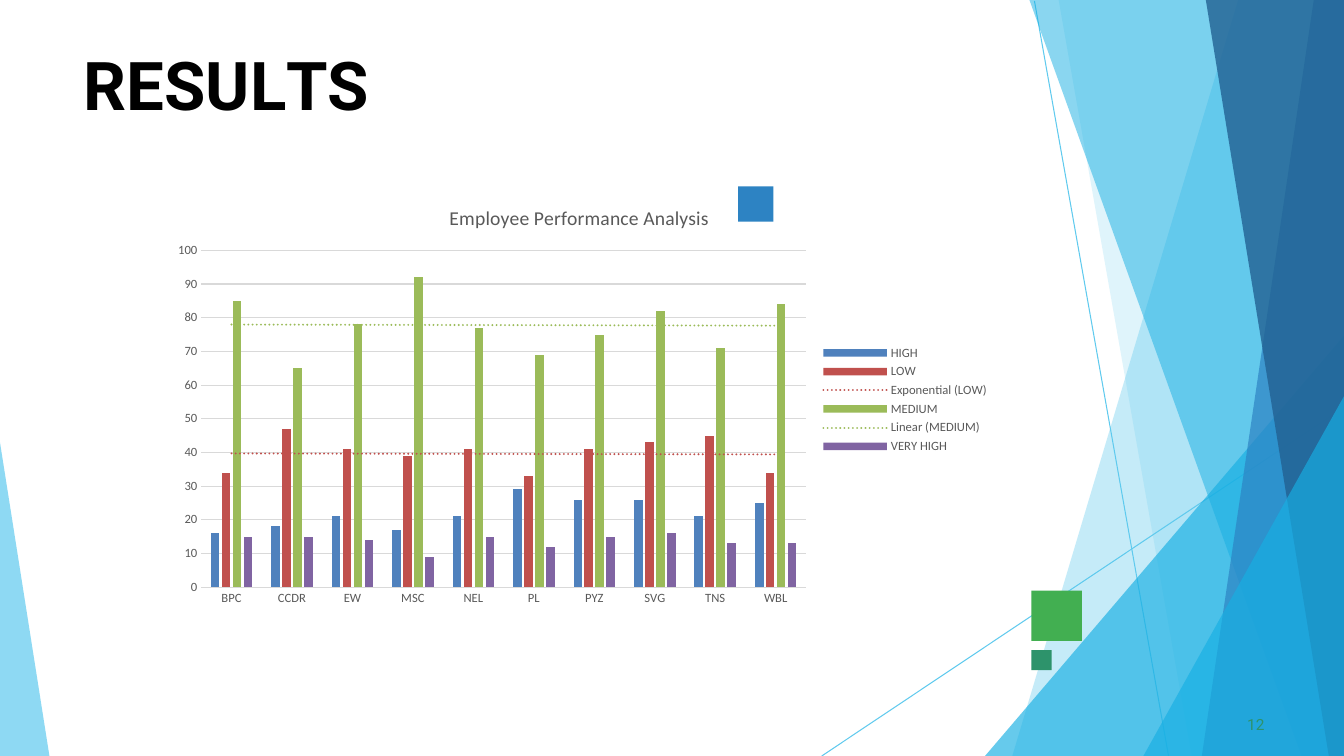
from dataclasses import dataclass

from lxml.etree import SubElement
from pptx import Presentation
from pptx.chart.data import CategoryChartData
from pptx.dml.color import RGBColor
from pptx.enum.chart import XL_CHART_TYPE as ChartType, XL_LEGEND_POSITION as LegendPos, XL_TICK_MARK as Tick
from pptx.enum.shapes import MSO_CONNECTOR as Connector, MSO_SHAPE as Shape
from pptx.enum.text import MSO_ANCHOR as Anchor, PP_ALIGN as Align
from pptx.oxml import parse_xml
from pptx.oxml.ns import nsdecls, qn
from pptx.util import Inches, Pt


@dataclass(frozen=True)
class Theme:
    sky: str = "5FCAEE"
    cyan: str = "17AFE3"
    blue: str = "2D83C3"
    navy: str = "226192"
    green: str = "42AF51"
    teal: str = "2D936B"
    black: str = "000000"
    grey: str = "595959"
    rule: str = "D9D9D9"
    series: tuple = ("4F81BD", "C0504D", "9BBB59", "8064A2")
    head_font: str = "Roboto"
    chart_font: str = "Calibri"
    title_size: int = 48
    number_size: int = 11
    chart_title_size: int = 14
    label_size: int = 9


T = Theme()
WIDTH, HEIGHT = 13.33, 7.5

CATEGORIES = ["BPC", "CCDR", "EW", "MSC", "NEL", "PL", "PYZ", "SVG", "TNS", "WBL"]
RATINGS = {
    "HIGH": [16, 18, 21, 17, 21, 29, 26, 26, 21, 25],
    "LOW": [34, 47, 41, 39, 41, 33, 41, 43, 45, 34],
    "MEDIUM": [85, 65, 78, 92, 77, 69, 75, 82, 71, 84],
    "VERY HIGH": [15, 15, 14, 9, 15, 12, 15, 16, 13, 13],
}
TRENDS = {"LOW": "exp", "MEDIUM": "linear"}


def rgb(color):
    return RGBColor.from_string(color)


def set_font(font, name, size, color, bold=False):
    font.name, font.size, font.bold = name, Pt(size), bold
    font.color.rgb = rgb(color)


def paint(shape, color, opacity=100):
    """Fill a shape with one colour, without line or shadow."""
    shape.shadow.inherit = False
    shape.line.fill.background()
    shape.fill.solid()
    shape.fill.fore_color.rgb = rgb(color)
    if opacity < 100:
        srgb = shape._element.spPr.find(".//" + qn("a:srgbClr"))
        SubElement(srgb, qn("a:alpha"), val=str(opacity * 1000))


def add_facet(s, points, color, opacity):
    start, *rest = [(Inches(x), Inches(y)) for x, y in points]
    builder = s.shapes.build_freeform(*start)
    builder.add_line_segments(rest, close=True)
    paint(builder.convert_to_shape(), color, opacity)


def add_facets(s, right, bottom):
    """Draw the crossing lines and translucent facets along the slide edges."""
    for x1, y1, x2, y2 in [(10.26, 0.01, 11.59, bottom), (right, 4.04, 8.15, bottom)]:
        line = s.shapes.add_connector(Connector.STRAIGHT, *map(Inches, (x1, y1, x2, y2)))
        line.line.color.rgb = rgb(T.sky)
        line.line.width = Pt(0.75)
        SubElement(line._element.spPr, qn("a:effectLst"))

    def band(top_x, bottom_x):
        return [(right, 0), (top_x, 0), (bottom_x, bottom), (right, bottom)]

    def corner(top_y, bottom_x):
        return [(right, top_y), (bottom_x, bottom), (right, bottom)]

    for points, color, opacity in [
        (band(12.28, 10.04), T.sky, 36),
        (band(10.5, 11.82), T.sky, 20),
        (corner(3.33, 9.77), T.cyan, 66),
        (band(10.21, 12.91), T.cyan, 50),
        (band(13.03, 11.92), T.blue, 70),
        (band(11.96, 13.18), T.navy, 80),
        (corner(3.93, 11.34), T.cyan, 66),
        ([(0, 4.39), (0, bottom), (0.49, bottom)], T.sky, 70),
    ]:
        add_facet(s, points, color, opacity)


def add_squares(s):
    for x, y, side, color in [(10.23, 5.86, 0.5, T.green), (7.32, 1.85, 0.35, T.blue),
                              (10.23, 6.45, 0.2, T.teal)]:
        paint(s.shapes.add_shape(Shape.RECTANGLE, *map(Inches, (x, y, side, side))), color)


def prepare_text(shape):
    tf = shape.text_frame
    tf.margin_left = tf.margin_right = tf.margin_bottom = 0
    tf.margin_top = Inches(0.01)
    tf.vertical_anchor = Anchor.TOP
    tf.word_wrap = True
    return tf.paragraphs[0]


def add_title(s, x, y, w, h):
    title = s.shapes.title
    title.left, title.top, title.width, title.height = map(Inches, (x, y, w, h))
    p = prepare_text(title)
    p.alignment = Align.LEFT
    set_font(p.font, T.head_font, T.title_size, T.black, bold=True)
    for text, spacing in [("R", 0), ("E", -40), ("S", 10), ("U", -30), ("L", -400), ("TS", 0)]:
        r = p.add_run()
        r.text = text
        r._r.get_or_add_rPr().set("spc", str(spacing))


def add_page_number(s, x, y, w, h):
    p = prepare_text(s.shapes.add_textbox(*map(Inches, (x, y, w, h))))
    p.text = "12"
    p._p.get_or_add_pPr().set("marL", str(Inches(0.04)))
    set_font(p.font, T.head_font, T.number_size, T.teal)


def layout_xml(x, y, w=None, h=None):
    """Manual chart layout in fractions of the chart; with a size it is a plot's."""
    fields = [("xMode", "edge"), ("yMode", "edge"), ("x", x), ("y", y)]
    if w:
        fields = [("layoutTarget", "inner"), *fields, ("w", w), ("h", h)]
    body = "".join(f'<c:{tag} val="{value}"/>' for tag, value in fields)
    return parse_xml(f'<c:layout {nsdecls("c")}><c:manualLayout>{body}</c:manualLayout></c:layout>')


def add_trend(series, kind, color):
    trend = parse_xml(
        f'<c:trendline {nsdecls("c", "a")}><c:spPr><a:ln w="{Pt(1.5)}" cap="rnd"><a:solidFill>'
        f'<a:srgbClr val="{color}"/></a:solidFill><a:prstDash val="sysDot"/></a:ln></c:spPr>'
        f'<c:trendlineType val="{kind}"/><c:dispRSqr val="0"/><c:dispEq val="0"/></c:trendline>')
    series._element.find(qn("c:cat")).addprevious(trend)


def format_axis(axis):
    axis.major_tick_mark = axis.minor_tick_mark = Tick.NONE
    set_font(axis.tick_labels.font, T.chart_font, T.label_size, T.grey)


def format_rule(line):
    line.color.rgb = rgb(T.rule)
    line.width = Pt(0.75)


def add_performance_chart(s, x, y, w, h):
    data = CategoryChartData()
    data.categories = CATEGORIES
    for name, values in RATINGS.items():
        data.add_series(name, values)
    frame = s.shapes.add_chart(ChartType.COLUMN_CLUSTERED, *map(Inches, (x, y, w, h)), data)
    chart = frame.chart
    set_font(chart.font, T.chart_font, 10, T.black)

    p = chart.chart_title.text_frame.paragraphs[0]
    p.text = "Employee Performance Analysis"
    set_font(p.font, T.chart_font, T.chart_title_size, T.grey)
    chart.chart_title.include_in_layout = False
    chart.chart_title._element.find(qn("c:tx")).addnext(layout_xml(0.345, 0.04))

    plot = chart.plots[0]
    plot.gap_width, plot.overlap, plot.vary_by_categories = 219, -27, False
    area = chart._chartSpace.chart.plotArea
    for old in area.findall(qn("c:layout")):
        area.remove(old)
    area.insert(0, layout_xml(0.05, 0.15, 0.72, 0.79))
    for series, color in zip(plot.series, T.series):
        series.format.fill.solid()
        series.format.fill.fore_color.rgb = rgb(color)
        if series.name in TRENDS:
            add_trend(series, TRENDS[series.name], color)

    format_axis(chart.category_axis)
    format_rule(chart.category_axis.format.line)
    values = chart.value_axis
    format_axis(values)
    values.minimum_scale, values.maximum_scale, values.major_unit = 0, 100, 10
    values.format.line.fill.background()
    format_rule(values.major_gridlines.format.line)

    chart.has_legend = True
    chart.legend.position = LegendPos.RIGHT
    chart.legend.include_in_layout = False
    set_font(chart.legend.font, T.chart_font, T.label_size, T.grey)


def main():
    prs = Presentation()
    prs.slide_width, prs.slide_height = Inches(WIDTH), Inches(HEIGHT)
    s = prs.slides.add_slide(prs.slide_layouts[5])
    add_facets(s, WIDTH, HEIGHT)
    add_squares(s)
    add_title(s, 0.83, 0.42, 11.68, 0.83)
    add_page_number(s, 12.33, 7.08, 0.25, 0.21)
    add_performance_chart(s, 1.58, 1.85, 8.33, 4.23)
    prs.save("out.pptx")


if __name__ == "__main__":
    main()
